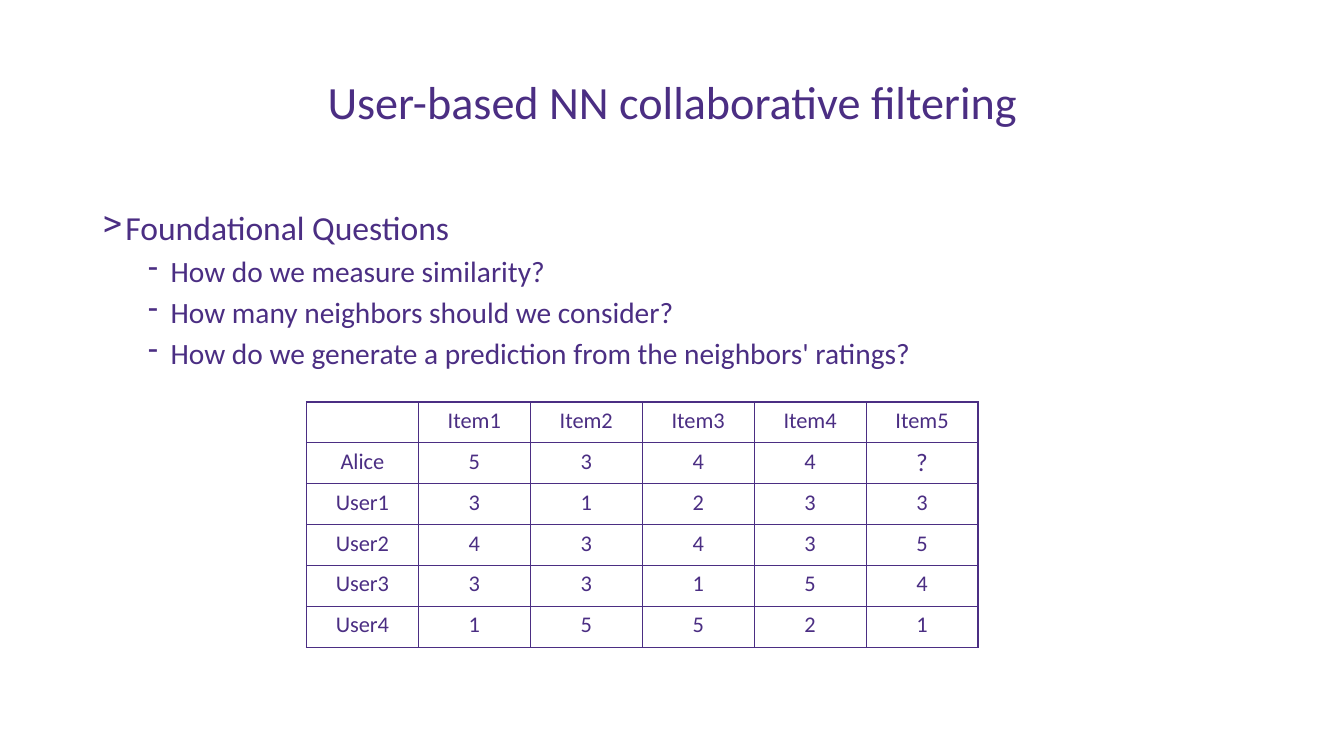
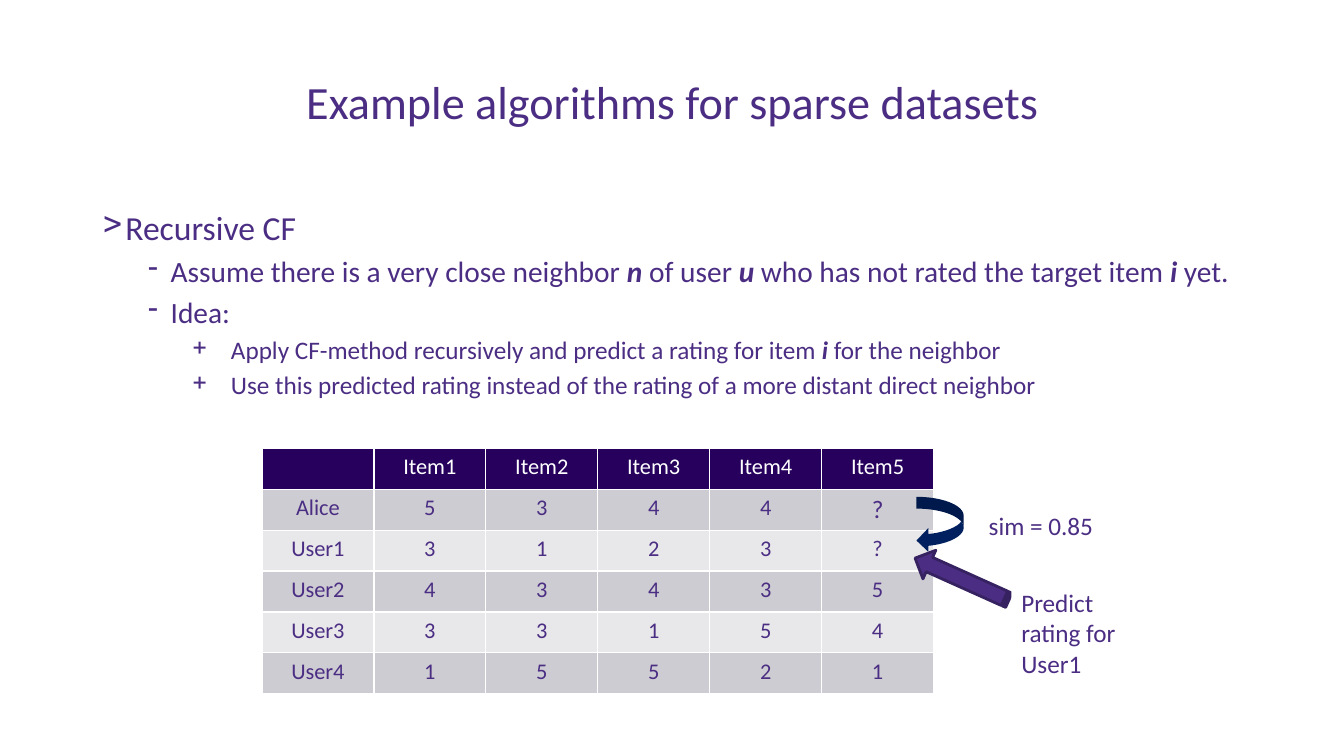
from lxml import etree
from pptx import Presentation
from pptx.dml.color import RGBColor
from pptx.enum.shapes import MSO_SHAPE
from pptx.enum.text import MSO_ANCHOR, PP_ALIGN
from pptx.oxml.ns import qn
from pptx.util import Cm, Pt

CENTER, LEFT = PP_ALIGN.CENTER, PP_ALIGN.LEFT
MIDDLE, TOP = MSO_ANCHOR.MIDDLE, MSO_ANCHOR.TOP
CURVED_ARROW = MSO_SHAPE.CURVED_LEFT_ARROW
STRIPED_ARROW = MSO_SHAPE.STRIPED_RIGHT_ARROW
RECTANGLE = MSO_SHAPE.RECTANGLE

FONT = "Calibri"
COLORS = {
    "purple": "4B2E83",
    "edge": "372261",
    "header": "26005C",
    "band_dark": "CDCCD2",
    "band_light": "E8E7EA",
    "navy": "002060",
    "white": "FFFFFF",
}

# Bullet levels: mark, text indent (cm), hanging indent (cm), size (pt)
LEVELS = [(">", 0.57, 0.57, 24), ("-", 1.71, 0.57, 21), ("+", 3.23, 0.97, 18)]

COL_W, ROW_H = 2.82, 1.03
HEADER = ["", "Item1", "Item2", "Item3", "Item4", "Item5"]
ALICE = ["Alice", "5", "3", "4", "4", "?"]
OTHERS = [
    ["User2", "4", "3", "4", "3", "5"],
    ["User3", "3", "3", "1", "5", "4"],
    ["User4", "1", "5", "5", "2", "1"],
]

# Asterisks enclose bold italic words
SLIDES = [
    {
        "title": "User-based NN collaborative filtering",
        "body": [
            (0, "Foundational Questions"),
            (1, "How do we measure similarity?"),
            (1, "How many neighbors should we consider?"),
            (1, "How do we generate a prediction from the neighbors' ratings?"),
        ],
        "table_at": (7.72, 10.13),
        "user1": ["User1", "3", "1", "2", "3", "3"],
        "banded": False,
    },
    {
        "title": "Example algorithms for sparse datasets",
        "body": [
            (0, "Recursive CF"),
            (1, "Assume there is a very close neighbor *n* of user *u* "
                "who has not rated the target item *i* yet."),
            (1, "Idea:"),
            (2, "Apply CF-method recursively and predict a rating for item *i* "
                "for the neighbor"),
            (2, "Use this predicted rating instead of the rating of a more "
                "distant direct neighbor"),
        ],
        "table_at": (6.6, 11.3),
        "user1": ["User1", "3", "1", "2", "3", "?"],
        "banded": True,
    },
]


def rgb(name):
    return RGBColor.from_string(COLORS[name])


def format_text(p, size, color="purple", align=LEFT):
    p.alignment = align
    for r in p.runs:
        r.font.name, r.font.size = FONT, Pt(size)
        r.font.color.rgb = rgb(color)


prs = Presentation()
prs.slide_width, prs.slide_height = Cm(33.86), Cm(19.05)

for content in SLIDES:
    s = prs.slides.add_slide(prs.slide_layouts[5])

    # Title
    title = s.shapes.title
    title.left, title.top, title.width, title.height = Cm(2.34), Cm(1.02), Cm(29.2), Cm(3.05)
    title.text_frame.text = content["title"]
    title.text_frame.vertical_anchor = MIDDLE
    format_text(title.text_frame.paragraphs[0], 33, align=CENTER)

    # Bulleted text
    tf = s.shapes.add_textbox(Cm(2.34), Cm(5.08), Cm(29.2), Cm(12.09)).text_frame
    tf.word_wrap = True
    for i, (level, text) in enumerate(content["body"]):
        mark, indent, hanging, size = LEVELS[level]
        p = tf.add_paragraph() if i else tf.paragraphs[0]
        p.level = level
        p.space_before = Pt(0.2 * size)
        for j, part in enumerate(text.split("*")):
            r = p.add_run()
            r.text = part
            if j % 2:
                r.font.bold = r.font.italic = True
        format_text(p, size)
        pPr = p._p.get_or_add_pPr()
        pPr.set("marL", str(Cm(indent)))
        pPr.set("indent", str(-Cm(hanging)))
        etree.SubElement(pPr, qn("a:buChar"), char=mark)

    # Ratings table
    rows = [HEADER, ALICE, content["user1"]] + OTHERS
    banded = content["banded"]
    left, top = content["table_at"]
    table = s.shapes.add_table(
        len(rows), len(HEADER), Cm(left), Cm(top),
        Cm(COL_W * len(HEADER)), Cm(ROW_H * len(rows))).table
    table.first_row = table.horz_banding = False
    for col in table.columns:
        col.width = Cm(COL_W)
    for i, values in enumerate(rows):
        table.rows[i].height = Cm(ROW_H)
        for j, value in enumerate(values):
            cell = table.cell(i, j)
            tcPr = cell._tc.get_or_add_tcPr()
            for side in ("a:lnL", "a:lnR", "a:lnT", "a:lnB"):
                ln = etree.SubElement(tcPr, qn(side), w=str(Pt(1)))
                line_fill = etree.SubElement(ln, qn("a:solidFill"))
                etree.SubElement(line_fill, qn("a:srgbClr"),
                                 val=COLORS["white" if banded else "purple"])
            if banded:
                cell.fill.solid()
                band = "band_dark" if i % 2 else "band_light"
                cell.fill.fore_color.rgb = rgb(band if i else "header")
            else:
                cell.fill.background()
            cell.text_frame.text = value
            format_text(cell.text_frame.paragraphs[0],
                        18 if i == 1 and value == "?" else 16,
                        "white" if banded and i == 0 else "purple", CENTER)

# Similarity and prediction marks beside the last table
marks = [
    (CURVED_ARROW, 23.09, 12.52, 1.19, 1.4, 0, "navy", None),
    (STRIPED_ARROW, 22.94, 14.2, 2.59, 0.79, 204.2, "purple", "edge"),
    (RECTANGLE, 25.48, 14.68, 3.38, 2.57, 0, "white", None),
]
for kind, x, y, w, h, angle, fill, edge in marks:
    sp = s.shapes.add_shape(kind, Cm(x), Cm(y), Cm(w), Cm(h))
    sp.shadow.inherit = False
    sp.rotation = angle
    sp.fill.solid()
    sp.fill.fore_color.rgb = rgb(fill)
    if edge:
        sp.line.color.rgb = rgb(edge)
        sp.line.width = Pt(2)
    else:
        sp.line.fill.background()

# Labels: the last mark is the box for the prediction
sim = s.shapes.add_textbox(Cm(24.66), Cm(12.73), Cm(3.18), Cm(1.02))
sim.text_frame.text = "sim = 0.85"
sp.text_frame.text = "Predict rating for\nUser1"
sp.text_frame.word_wrap = True
sp.text_frame.vertical_anchor = TOP
for label in (sim, sp):
    for p in label.text_frame.paragraphs:
        format_text(p, 18)

prs.save("out.pptx")
